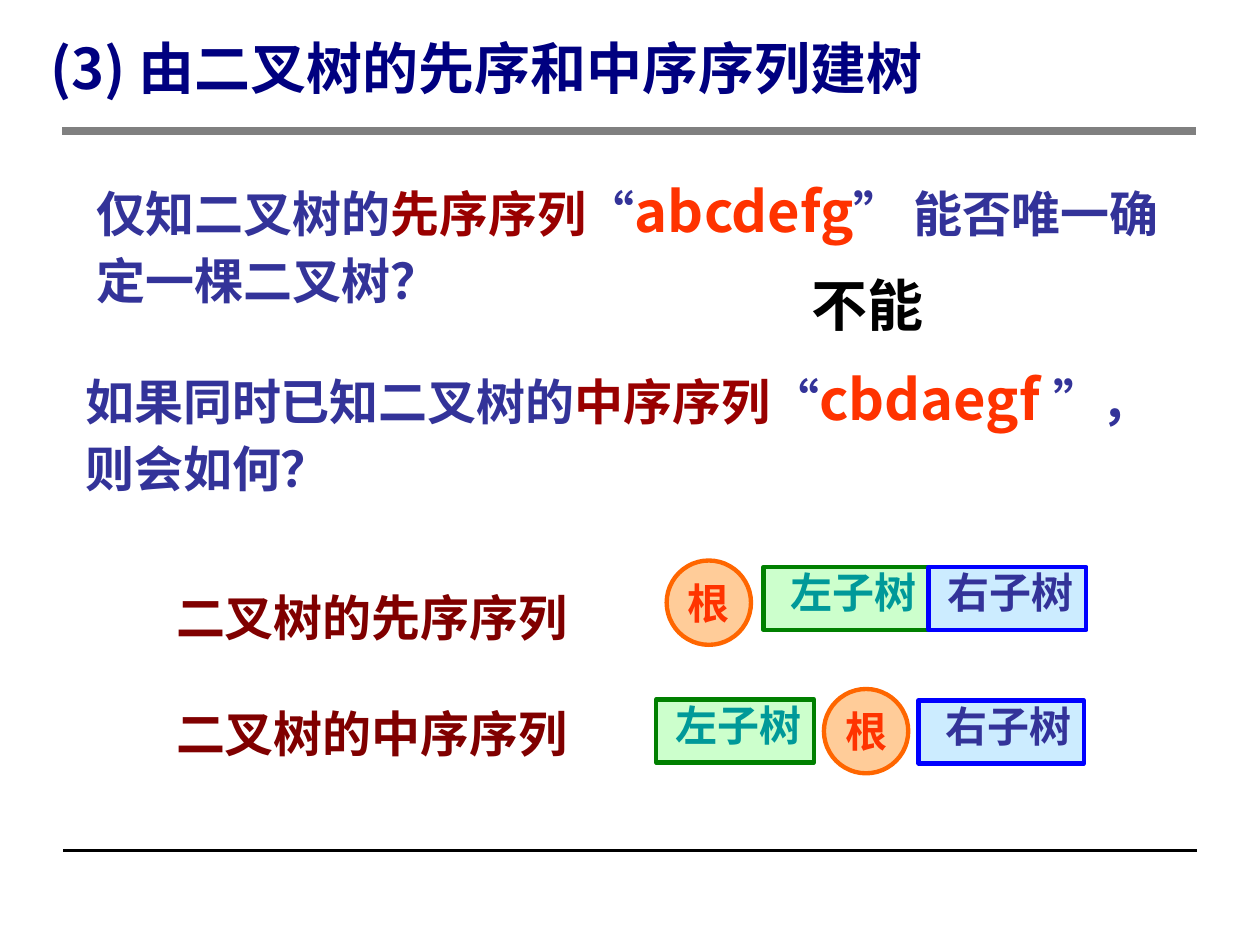
from lxml import etree
from pptx import Presentation
from pptx.dml.color import RGBColor
from pptx.enum import lang, shapes, text
from pptx.oxml.ns import qn
from pptx.util import Cm, Pt

FONT = "Noto Sans CJK SC"
NAVY, BLUE, DARK_RED, RED = "000080", "333399", "990000", "FF3300"
MAROON, TEAL = "800000", "009999"


def rgb(value):
    return RGBColor.from_string(value)


def write(tf, parts, align=None, spacing=None):
    """Fill the frame with one paragraph of (text, size, colour) runs."""
    p = tf.paragraphs[0]
    p.alignment = align
    p.line_spacing = spacing
    for words, size, color in parts:
        r = p.add_run()
        r.text = words
        r.font.name = FONT
        r.font.size = Pt(size)
        r.font.bold = True
        r.font.color.rgb = rgb(color)
        r.font.language_id = lang.MSO_LANGUAGE_ID.SIMPLIFIED_CHINESE
        etree.SubElement(r.font._element, qn("a:ea"), typeface=FONT)


prs = Presentation()
prs.slide_width, prs.slide_height = Cm(25.4), Cm(19.05)
s = prs.slides.add_slide(prs.slide_layouts[6])

# Rules under the title and above the footer
for x, y, color, width in [(1.27, 17.15, "000000", 2), (1.25, 2.64, "808080", 5)]:
    line = s.shapes.add_connector(shapes.MSO_CONNECTOR.STRAIGHT,
                                  Cm(x), Cm(y), Cm(x + 22.86), Cm(y))
    line.line.color.rgb = rgb(color)
    line.line.width = Pt(width)
    etree.SubElement(line._element.spPr, qn("a:effectLst"))

# Title, questions, answer and row labels: box, top margin, line spacing, runs
texts = [
    ((0.76, 0.56, 18.82, 1.52), 0.13, 40,
     [("(3) 由二叉树的先序和中序序列建树", 32, NAVY)]),
    ((1.7, 3.2, 22.63, 3.07), 0.4, 37.5,
     [("仅知二叉树的", 28, BLUE), ("先序序列", 28, DARK_RED), ("“", 28, BLUE),
      ("abcdefg", 32, RED), ("” 能否唯一确定一棵二叉树？", 28, BLUE)]),
    ((1.47, 6.99, 22.61, 3.07), 0.4, 37.5,
     [("如果同时已知二叉树的", 28, BLUE), ("中序序列", 28, DARK_RED), ("“", 28, BLUE),
      ("cbdaegf ", 32, RED), ("”，则会如何？", 28, BLUE)]),
    ((3.3, 11.51, 9.88, 1.52), 0.2, 37.5, [("二叉树的先序序列", 28, MAROON)]),
    ((3.3, 13.84, 9.7, 1.52), 0.2, 37.5, [("二叉树的中序序列", 28, MAROON)]),
    ((16.1, 5.26, 4.19, 1.6), 0.2, 38, [("不能", 32, "000000")]),
]
for i, (box, top, spacing, parts) in enumerate(texts):
    tf = s.shapes.add_textbox(*map(Cm, box)).text_frame
    tf.word_wrap = True
    tf.margin_top = Cm(top)
    if i == 0:
        tf.vertical_anchor = text.MSO_ANCHOR.MIDDLE
    write(tf, parts, spacing=Pt(spacing))

# Parts of each sequence: kind -> shape, width-independent style
RECT, OVAL = shapes.MSO_SHAPE.RECTANGLE, shapes.MSO_SHAPE.OVAL
styles = {
    "左子树": (RECT, 1.27, "CCFFCC", "008000", TEAL),
    "右子树": (RECT, 1.27, "CCECFF", "0000FF", BLUE),
    "根": (OVAL, 1.7, "FFCC99", "FF6600", RED),
}
nodes = [
    ("左子树", 13.23, 14.1, 3.18),
    ("左子树", 15.39, 11.43, 3.33),
    ("右子树", 18.72, 11.43, 3.18),
    ("右子树", 18.52, 14.12, 3.33),
    ("根", 13.44, 11.3, 1.7),
    ("根", 16.61, 13.89, 1.7),
]
for label, x, y, width in nodes:
    kind, height, fill, outline, color = styles[label]
    sp = s.shapes.add_shape(kind, Cm(x), Cm(y), Cm(width), Cm(height))
    sp.shadow.inherit = False
    sp.fill.solid()
    sp.fill.fore_color.rgb = rgb(fill)
    sp.line.color.rgb = rgb(outline)
    sp.line.width = Pt(2.5)
    tf = sp.text_frame
    tf.margin_top = tf.margin_bottom = 0
    tf.word_wrap = kind == RECT
    tf.vertical_anchor = text.MSO_ANCHOR.TOP if kind == RECT else text.MSO_ANCHOR.MIDDLE
    align = text.PP_ALIGN.RIGHT if kind == RECT else text.PP_ALIGN.CENTER
    write(tf, [(label, 24, color)], align)

prs.save("out.pptx")
